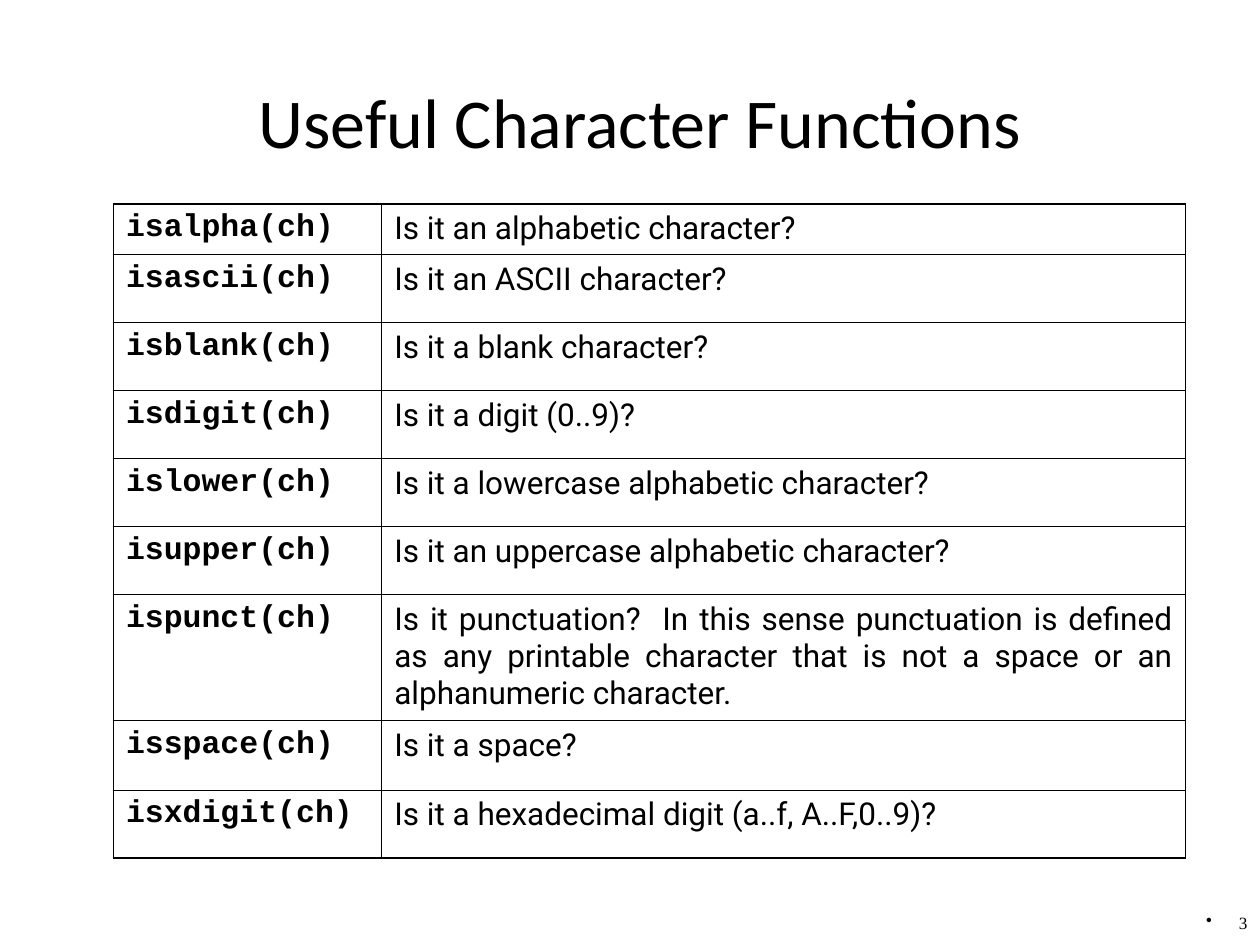
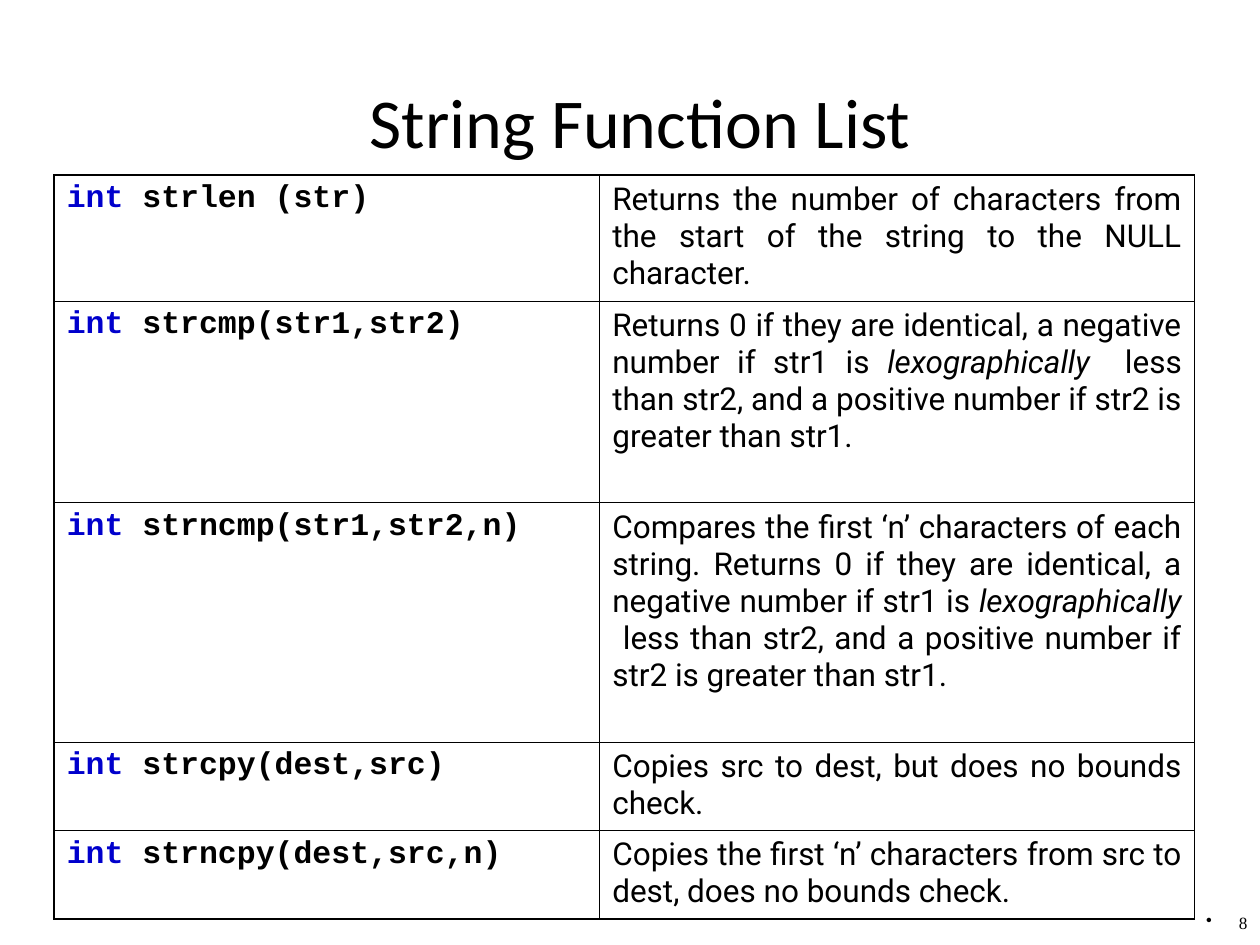
"""Build two reference slides on C character and string functions."""
from dataclasses import dataclass

from lxml import etree
from pptx import Presentation
from pptx import util as u
from pptx.dml import color
from pptx.enum import text
from pptx.oxml import ns


@dataclass(frozen=True)
class Theme:
    ink: str = "000000"
    keyword: str = "0000CC"
    paper: str = "FFFFFF"
    title_font: str = "Calibri"
    code_font: str = "Courier New"
    body_font: str = "Roboto"
    number_font: str = "Times New Roman"
    title_size: float = 40
    body_size: float = 18
    number_size: float = 9.8
    outer_line: float = 1.08
    inner_line: float = 0.45

    def styles(self):
        body = {"name": self.body_font, "size": u.Pt(self.body_size)}
        code = {"name": self.code_font, "size": u.Pt(self.body_size), "bold": True}
        return {
            "title": ({"name": self.title_font, "size": u.Pt(self.title_size)}, self.ink),
            "number": ({"name": self.number_font, "size": u.Pt(self.number_size)}, self.ink),
            "body": (body, self.ink),
            "term": ({**body, "italic": True}, self.ink),
            "code": (code, self.ink),
            "keyword": (code, self.keyword),
        }


class Deck:
    def __init__(self, theme):
        self.theme = theme
        self.styles = theme.styles()
        self.presentation = Presentation()
        self.presentation.slide_width = u.Inches(10)
        self.presentation.slide_height = u.Inches(7.5)
        self.slide = None

    def add_slide(self, title, number):
        self.slide = self.presentation.slides.add_slide(self.presentation.slide_layouts[6])
        self.text_box((0.83, 0.6, 8.5, 0.71), title, "title",
                      text.PP_ALIGN.CENTER, text.MSO_ANCHOR.MIDDLE)
        paragraph = self.text_box((9.36, 7.22, 0.64, 0.28), str(number), "number",
                                  text.PP_ALIGN.RIGHT, text.MSO_ANCHOR.TOP)
        paragraph.line_spacing = 0.8
        self.bullet(paragraph, u.Inches(0.26))

    def text_box(self, place, words, style, alignment, anchor):
        shape = self.slide.shapes.add_textbox(*map(u.Inches, place))
        frame = shape.text_frame
        frame.word_wrap = True
        frame.vertical_anchor = anchor
        paragraph = frame.paragraphs[0]
        paragraph.alignment = alignment
        self.add_run(paragraph, words, style)
        return paragraph

    def add_run(self, paragraph, words, style):
        run = paragraph.add_run()
        run.text = words
        values, ink = self.styles[style]
        for name, value in values.items():
            setattr(run.font, name, value)
        run.font.color.rgb = color.RGBColor.from_string(ink)

    def bullet(self, paragraph, indent):
        properties = paragraph._p.get_or_add_pPr()
        properties.set("marL", str(indent))
        properties.set("indent", str(-indent))
        etree.SubElement(properties, ns.qn("a:buChar"), char="•")

    def table(self, left, top, widths, heights, rows):
        place = map(u.Inches, (left, top, sum(widths), sum(heights)))
        table = self.slide.shapes.add_table(len(rows), len(widths), *place).table
        table.first_row = table.horz_banding = False
        for column, width in zip(table.columns, widths):
            column.width = u.Inches(width)
        for row, height in zip(table.rows, heights):
            row.height = u.Inches(height)
        last_row, last_column = len(rows) - 1, len(widths) - 1
        for r, row in enumerate(rows):
            for c, runs in enumerate(row):
                cell = table.cell(r, c)
                paragraph = cell.text_frame.paragraphs[0]
                paragraph.alignment = text.PP_ALIGN.JUSTIFY
                for words, style in runs:
                    self.add_run(paragraph, words, style)
                self.borders(cell, {"lnL": c == 0, "lnR": c == last_column,
                                    "lnT": r == 0, "lnB": r == last_row})
                cell.fill.solid()
                cell.fill.fore_color.rgb = color.RGBColor.from_string(self.theme.paper)

    def borders(self, cell, outer_sides):
        properties = cell._tc.get_or_add_tcPr()
        for side, is_outer in outer_sides.items():
            width = self.theme.outer_line if is_outer else self.theme.inner_line
            line = etree.SubElement(properties, ns.qn(f"a:{side}"), w=str(u.Pt(width)))
            fill = etree.SubElement(line, ns.qn("a:solidFill"))
            etree.SubElement(fill, ns.qn("a:srgbClr"), val=self.theme.ink)


CHARACTER_FUNCTIONS = {
    "isalpha": "Is it an alphabetic character?",
    "isascii": "Is it an ASCII character?",
    "isblank": "Is it a blank character?",
    "isdigit": "Is it a digit (0..9)?",
    "islower": "Is it a lowercase alphabetic character?",
    "isupper": "Is it an uppercase alphabetic character?",
    "ispunct": "Is it punctuation?  In this sense punctuation is defined as any "
               "printable character that is not a space or an alphanumeric character.",
    "isspace": "Is it a space?",
    "isxdigit": "Is it a hexadecimal digit (a..f, A..F,0..9)?",
}

COMPARISON = [
    ("Returns 0 if they are identical, a negative number if str1 is ", "body"),
    ("lexographically ", "term"),
    (" less than str2, and a positive number if str2 is greater than str1.", "body"),
]

STRING_FUNCTIONS = {
    "strlen (str)": [("Returns the number of characters from the start of the string "
                      "to the NULL character.", "body")],
    "strcmp(str1,str2)": COMPARISON,
    "strncmp(str1,str2,n)": [("Compares the first ‘n’ characters of each string. ", "body"),
                             *COMPARISON],
    "strcpy(dest,src)": [("Copies src to dest, but does no bounds check.", "body")],
    "strncpy(dest,src,n)": [("Copies the first ‘n’ characters from src to dest, "
                             "does no bounds check.", "body")],
}


def main():
    deck = Deck(Theme())

    deck.add_slide("Useful Character Functions", 3)
    deck.table(0.9, 1.62, [2.13, 6.38], [0.4, *[0.54] * 5, 1, 0.55, 0.54],
               [([(f"{name}(ch)", "code")], [(meaning, "body")])
                for name, meaning in CHARACTER_FUNCTIONS.items()])

    deck.add_slide("String Function List", 8)
    deck.table(0.43, 1.39, [4.33, 4.72], [1, 1.6, 1.9, 0.7, 0.7],
               [([("int", "keyword"), (f" {call}", "code")], meaning)
                for call, meaning in STRING_FUNCTIONS.items()])

    deck.presentation.save("out.pptx")


if __name__ == "__main__":
    main()
